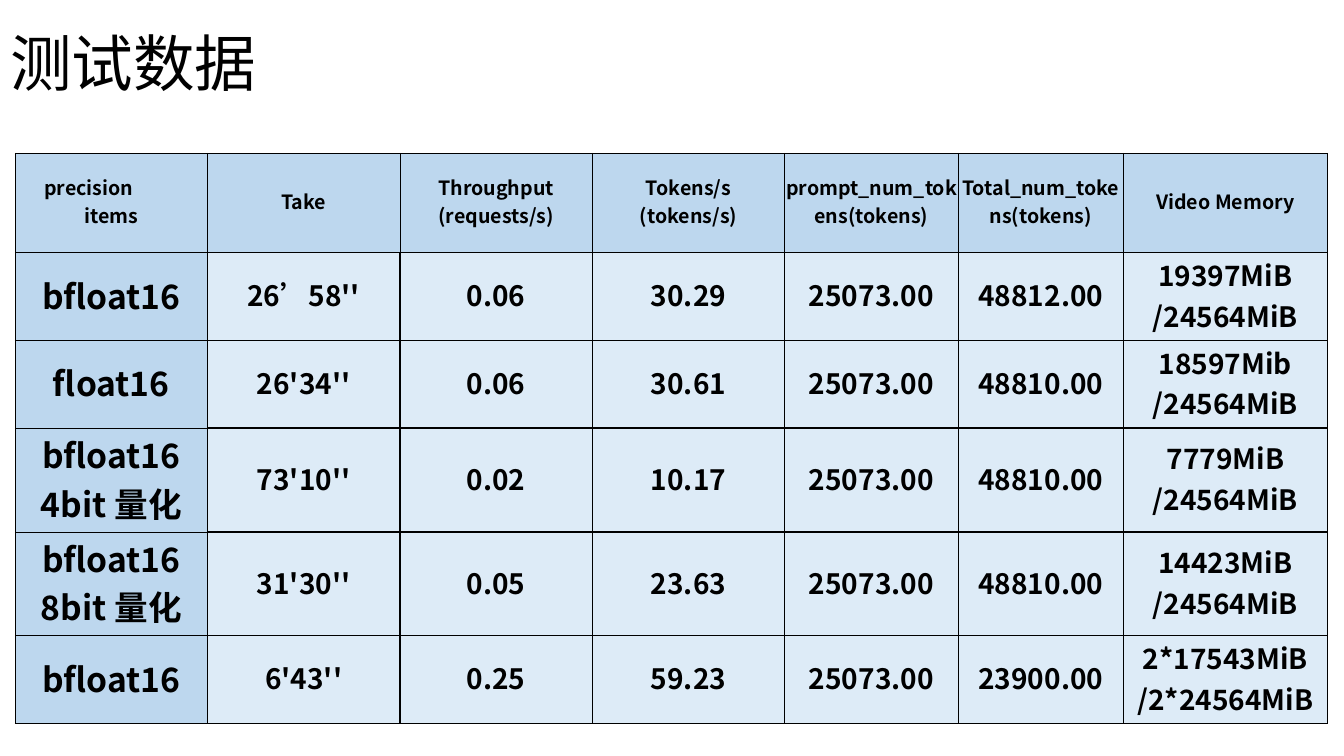
from lxml.etree import SubElement as Sub
from pptx import Presentation as Deck
from pptx.dml.color import RGBColor as RGB
from pptx.enum.text import MSO_ANCHOR as Anchor, PP_ALIGN as Align
from pptx.oxml.ns import qn
from pptx.util import Cm, Pt

BLACK = RGB(0x00, 0x00, 0x00)
HEAD = RGB(0xBD, 0xD7, 0xEE)
BODY = RGB(0xDD, 0xEB, 0xF7)
FONT = "Noto Sans CJK SC"

WIDTHS = [4.85, 4.85, 4.85, 4.85, 4.37, 4.17, 5.13]
HEIGHTS = [2.51, 2.06, 2.06, 2.49, 2.49, 2.06]
ROWS = [
    ["precision\nitems", "Take", "Throughput\n(requests/s)", "Tokens/s\n(tokens/s)",
     "prompt_num_tokens(tokens)", "Total_num_tokens(tokens)", "Video Memory"],
    ["bfloat16", "26’58''", "0.06", "30.29", "25073.00", "48812.00",
     "19397MiB\v/24564MiB"],
    ["float16", "26'34''", "0.06", "30.61", "25073.00", "48810.00",
     "18597Mib\v/24564MiB"],
    ["bfloat16 4bit 量化", "73'10''", "0.02", "10.17", "25073.00", "48810.00",
     "7779MiB\v/24564MiB"],
    ["bfloat16 8bit 量化", "31'30''", "0.05", "23.63", "25073.00", "48810.00",
     "14423MiB\v/24564MiB"],
    ["bfloat16", "6'43''", "0.25", "59.23", "25073.00", "23900.00",
     "2*17543MiB\v/2*24564MiB"],
]


def write(frame, text, size, bold=False, align=Align.CENTER, space=None):
    """Fill a text frame with evenly formatted paragraphs."""
    frame.text = text
    for para in frame.paragraphs:
        para.alignment = align
        if space:
            para.line_spacing = space
        for run in para.runs:
            font = run.font
            font.name, font.size, font.bold = FONT, Pt(size), bold
            font.color.rgb = BLACK
            Sub(font._element, qn("a:ea"), typeface=FONT)


def edge(cell, **sides):
    """Draw the cell borders, with a width in points for each side."""
    props = cell._tc.get_or_add_tcPr()
    for spot, (side, width) in enumerate(sides.items()):
        line = Sub(props, qn("a:ln" + side), w=str(Pt(width)))
        fill = Sub(line, qn("a:solidFill"))
        Sub(fill, qn("a:srgbClr"), val=str(BLACK))
        props.insert(spot, line)


def style(cell, text, row, col):
    """Format one cell by its place in the table."""
    head = row == 0 or col == 0
    cell.vertical_anchor = Anchor.MIDDLE
    cell.margin_left = cell.margin_right = cell.margin_top = Cm(0.03)
    cell.margin_bottom = Cm(0.13)
    cell.fill.solid()
    cell.fill.fore_color.rgb = HEAD if head else BODY
    size = 14 if row == 0 else 24 if col == 0 else 20
    write(cell.text_frame, text, size, bold=True)
    thin = 0.5 if head else 1
    edge(cell, L=thin, R=1 if col == 0 and row else thin,
         T=thin, B=1 if row == 0 and col else thin)


def grid(slide):
    """Add the table of test results."""
    frame = slide.shapes.add_table(len(ROWS), len(WIDTHS), Cm(0.38), Cm(3.86),
                                   Cm(sum(WIDTHS)), Cm(sum(HEIGHTS)))
    table = frame.table
    table.first_row = table.horz_banding = False
    for col, width in zip(table.columns, WIDTHS):
        col.width = Cm(width)
    for row, height in zip(table.rows, HEIGHTS):
        row.height = Cm(height)
    for r, texts in enumerate(ROWS):
        for c, text in enumerate(texts):
            style(table.cell(r, c), text, r, c)
    first = table.cell(0, 0).text_frame.paragraphs[0]
    first.alignment = Align.LEFT
    first._p.get_or_add_pPr().set("marL", str(Cm(0.7)))


def title(slide, text):
    """Place and format the slide title."""
    box = slide.shapes.title
    box.left, box.top, box.width, box.height = Cm(0), Cm(0), Cm(13.1), Cm(3.35)
    write(box.text_frame, text, 44, align=Align.LEFT, space=0.9)
    box.text_frame.vertical_anchor = Anchor.MIDDLE


def main():
    """Build and save the slide."""
    deck = Deck()
    deck.slide_width, deck.slide_height = Cm(33.87), Cm(19.05)
    slide = deck.slides.add_slide(deck.slide_layouts[5])
    title(slide, "测试数据")
    grid(slide)
    deck.save("out.pptx")


if __name__ == "__main__":
    main()
